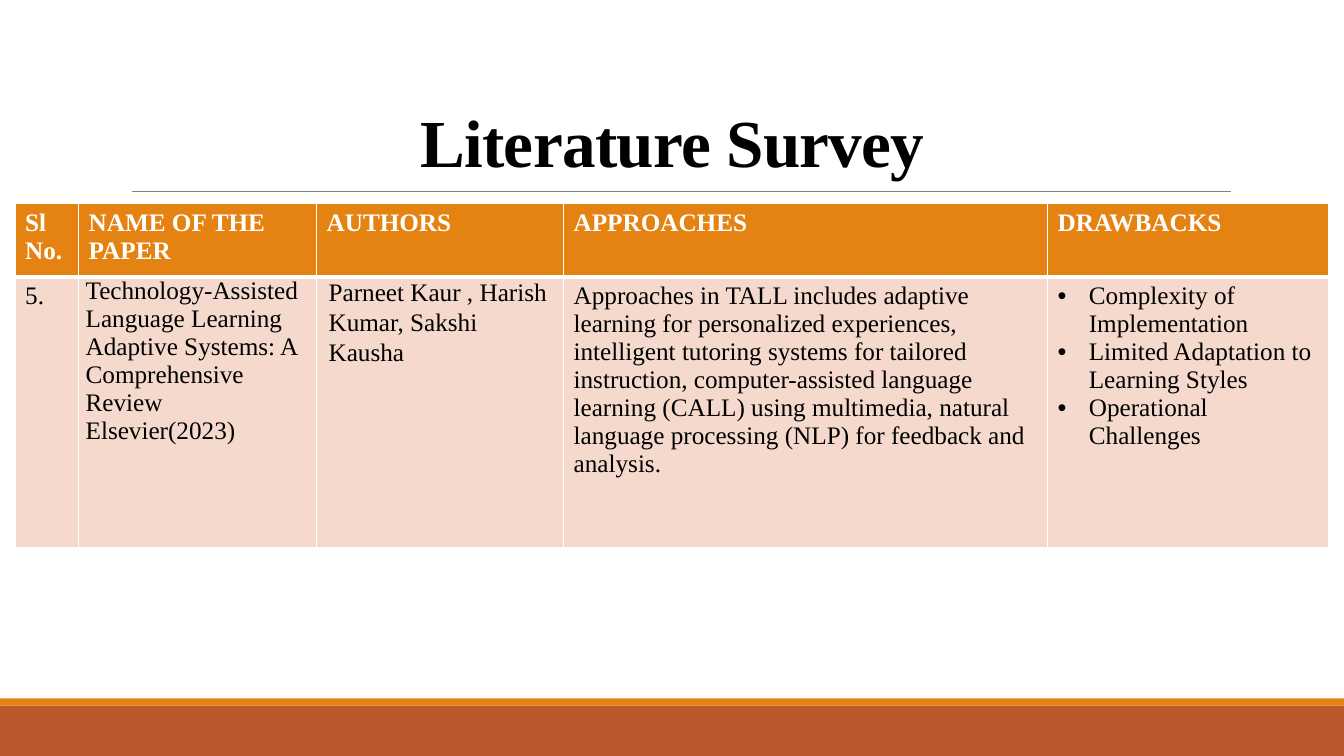
from dataclasses import dataclass

from lxml.etree import SubElement
from pptx import Presentation
from pptx.dml.color import RGBColor
from pptx.enum.shapes import MSO_CONNECTOR, MSO_SHAPE
from pptx.enum.text import MSO_ANCHOR, MSO_AUTO_SIZE, PP_ALIGN
from pptx.oxml.ns import qn
from pptx.util import Inches, Pt


@dataclass(frozen=True)
class Theme:
    """Colours, font and type sizes of the slide."""
    font: str = "Times New Roman"
    title_size: int = 48
    table_size: int = 18
    orange: str = "E48312"
    rust: str = "BD582C"
    blush: str = "F5D9CC"
    gray: str = "808080"
    black: str = "000000"
    white: str = "FFFFFF"


THEME = Theme()
COLUMNS = [0.63, 2.36, 2.45, 4.8, 2.79]
ROWS = [0.73, 2.68]
HEADERS = [["Sl", "No."], ["NAME OF THE PAPER"], ["AUTHORS"], ["APPROACHES"], ["DRAWBACKS"]]
SURVEY = [
    ["5."],
    ["Technology-Assisted Language Learning Adaptive Systems: A",
     "Comprehensive Review Elsevier(2023)"],
    ["Parneet Kaur , Harish Kumar, Sakshi Kausha"],
    ["Approaches in TALL includes adaptive learning for personalized experiences, "
     "intelligent tutoring systems for tailored instruction, computer-assisted language "
     "learning (CALL) using multimedia, natural language processing (NLP) for feedback "
     "and analysis."],
    ["Complexity of Implementation", "Limited Adaptation to Learning Styles",
     "Operational Challenges"],
]
PAPER, AUTHORS, DRAWBACKS = 1, 2, 4


def rgb(color):
    """Turn a hex string into a colour."""
    return RGBColor.from_string(color)


def add_run(p, text, size, color, bold):
    """Add one formatted run to a paragraph."""
    r = p.add_run()
    r.text = text
    r.font.name = THEME.font
    r.font.size = Pt(size)
    r.font.bold = bold
    r.font.color.rgb = rgb(color)
    return r


def add_band(s, left, top, width, height, color):
    """Draw one plain band in the given box."""
    sp = s.shapes.add_shape(MSO_SHAPE.RECTANGLE, Inches(left), Inches(top),
                            Inches(width), Inches(height))
    sp.shadow.inherit = False
    sp.fill.solid()
    sp.fill.fore_color.rgb = rgb(color)
    sp.line.fill.background()


def add_footer(s, left, top, width, height):
    """Draw the two-tone footer, with its thin strip on top."""
    strip = 0.07
    add_band(s, left, top + strip, width, height - strip, THEME.rust)
    add_band(s, left, top, width, strip, THEME.orange)


def add_heading(s, left, top, width, height):
    """Place the title and the rule below it."""
    rule_y = Inches(top + height + 0.05)
    line = s.shapes.add_connector(MSO_CONNECTOR.STRAIGHT, Inches(left + 0.14), rule_y,
                                  Inches(left + width + 0.04), rule_y)
    line.line.color.rgb = rgb(THEME.gray)
    line.line.width = Pt(0.5)
    SubElement(line._element.spPr, qn("a:effectLst"))

    sp = s.shapes.title
    sp.left, sp.top = Inches(left), Inches(top)
    sp.width, sp.height = Inches(width), Inches(height)
    tf = sp.text_frame
    tf.auto_size = MSO_AUTO_SIZE.NONE
    tf.word_wrap = True
    tf.vertical_anchor = MSO_ANCHOR.BOTTOM
    p = tf.paragraphs[0]
    p.alignment = PP_ALIGN.CENTER
    p.line_spacing = 0.85
    r = add_run(p, "Literature Survey", THEME.title_size, THEME.black, True)
    r._r.get_or_add_rPr().set("spc", "-50")


def add_borders(cell, top, bottom):
    """Give a cell white borders, with the top and bottom widths in points."""
    tcPr = cell._tc.get_or_add_tcPr()
    for side, width in (("L", 1), ("R", 1), ("T", top), ("B", bottom)):
        ln = SubElement(tcPr, qn(f"a:ln{side}"), w=str(Pt(width)))
        fill = SubElement(ln, qn("a:solidFill"))
        SubElement(fill, qn("a:srgbClr"), val=THEME.white)


def add_bullet(p):
    """Give a paragraph a hanging round bullet."""
    pPr = p._p.get_or_add_pPr()
    pPr.set("marL", str(Inches(0.31)))
    pPr.set("indent", str(-Inches(0.31)))
    SubElement(pPr, qn("a:buFont"), typeface="Arial")
    SubElement(pPr, qn("a:buChar"), char="•")


def fill_cell(cell, lines, color, fill, bold, bulleted=False):
    """Fill a cell and write one paragraph for each line."""
    cell.fill.solid()
    cell.fill.fore_color.rgb = rgb(fill)
    tf = cell.text_frame
    for i, text in enumerate(lines):
        p = tf.add_paragraph() if i else tf.paragraphs[0]
        if bulleted:
            add_bullet(p)
        add_run(p, text, THEME.table_size, color, bold)


def set_side_margins(cell, side):
    """Set equal side margins and none above or below."""
    cell.margin_left = cell.margin_right = Inches(side)
    cell.margin_top = cell.margin_bottom = 0


def add_survey_table(s, left, top, width, height):
    """Place the survey table in the given box."""
    table = s.shapes.add_table(len(ROWS), len(COLUMNS), Inches(left), Inches(top),
                               Inches(width), Inches(height)).table
    for row, size in zip(table.rows, ROWS):
        row.height = Inches(size)
    for i, size in enumerate(COLUMNS):
        table.columns[i].width = Inches(size)
        head, body = table.cell(0, i), table.cell(1, i)
        add_borders(head, 1, 3)
        add_borders(body, 3, 1)
        fill_cell(head, HEADERS[i], THEME.white, THEME.orange, True)
        fill_cell(body, SURVEY[i], THEME.black, THEME.blush, False, i == DRAWBACKS)
    set_side_margins(table.cell(1, PAPER), 0.07)
    authors = table.cell(1, AUTHORS)
    set_side_margins(authors, 0.12)
    p = authors.text_frame.paragraphs[0]
    p.line_spacing = 1.07
    p.space_after = Pt(8)


def main():
    """Build and save the slide."""
    prs = Presentation()
    prs.slide_width, prs.slide_height = Inches(13.33), Inches(7.5)
    s = prs.slides.add_slide(prs.slide_layouts[5])
    add_footer(s, 0, 6.93, 13.33, 0.57)
    add_heading(s, 1.17, 0.26, 11, 1.59)
    add_survey_table(s, 0.15, 2.02, sum(COLUMNS), sum(ROWS))
    prs.save("out.pptx")


if __name__ == "__main__":
    main()
